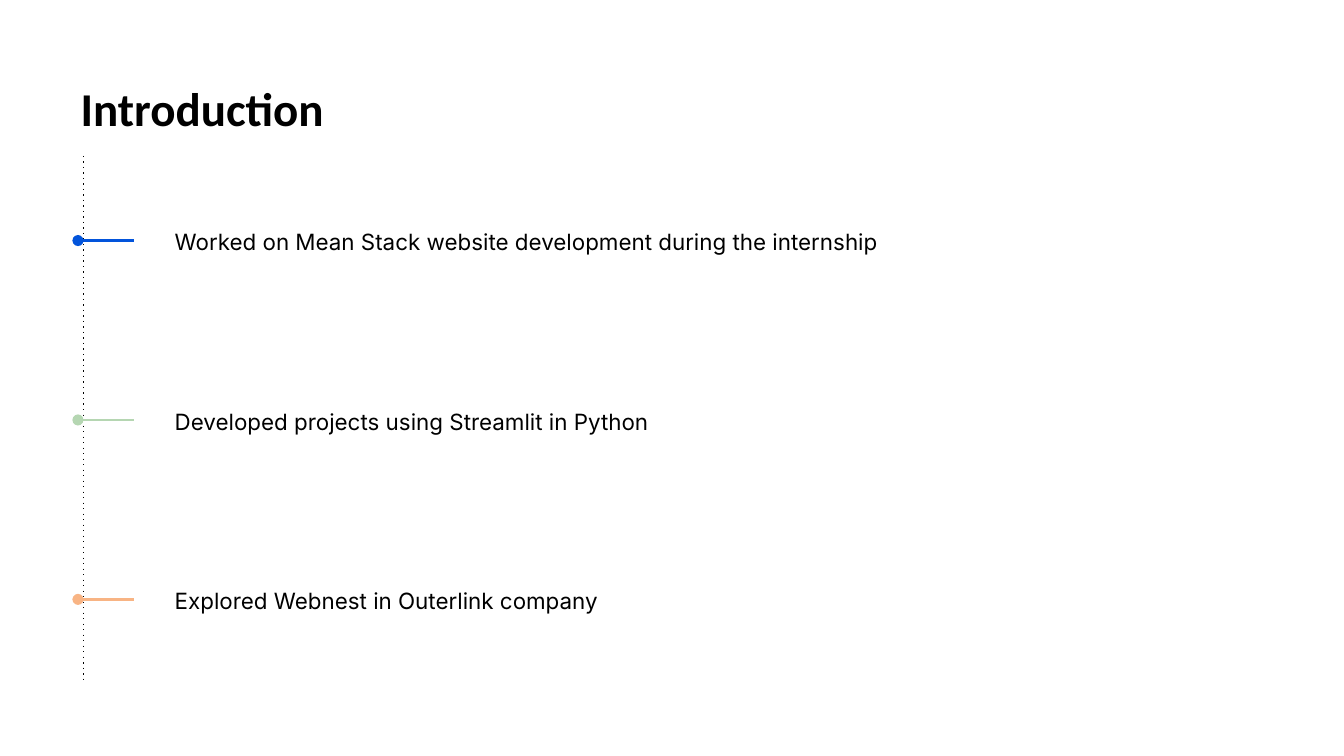
from lxml.etree import SubElement
from pptx import Presentation
from pptx.dml.color import RGBColor
from pptx.enum.shapes import MSO_CONNECTOR
from pptx.enum.text import MSO_ANCHOR, MSO_AUTO_SIZE, PP_ALIGN
from pptx.oxml.ns import qn
from pptx.util import Inches, Pt

COLORS = {"text": "000000", "blue": "0254DB", "green": "B5D6B2", "orange": "F8B484"}
ITEMS = [
    ("Worked on Mean Stack website development during the internship", "blue", 1.05),
    ("Developed projects using Streamlit in Python", "green", 1.15),
    ("Explored Webnest in Outerlink company", "orange", 1.05),
]
FIRST_TOP, LAST_TOP, HEIGHT = 1.25, 3.92, 1.08
STEP = (LAST_TOP - FIRST_TOP) / (len(ITEMS) - 1)


def set_text(sp, text, font, size, bold, left_inset):
    tf = sp.text_frame
    tf.word_wrap = True
    tf.auto_size = MSO_AUTO_SIZE.NONE
    tf.vertical_anchor = MSO_ANCHOR.MIDDLE
    tf.margin_left = Inches(left_inset)
    tf.margin_top = tf.margin_right = tf.margin_bottom = Inches(0.1)
    p = tf.paragraphs[0]
    p.alignment = PP_ALIGN.LEFT
    p.space_before = Pt(0)
    r = p.add_run()
    r.text = text
    r.font.name = font
    r.font.size = Pt(size)
    r.font.bold = bold
    r.font.color.rgb = RGBColor.from_string(COLORS["text"])
    return p


def add_line(s, x1, y1, x2, y2, color, width, tag, **attrs):
    line = s.shapes.add_connector(
        MSO_CONNECTOR.STRAIGHT, Inches(x1), Inches(y1), Inches(x2), Inches(y2)
    )
    line.line.color.rgb = RGBColor.from_string(COLORS[color])
    line.line.width = Pt(width)
    SubElement(line.line._get_or_add_ln(), qn(tag), **attrs)
    SubElement(line._element.spPr, qn("a:effectLst"))
    return line


prs = Presentation()
prs.slide_width = Inches(10)
prs.slide_height = prs.slide_width * 9 // 16
s = prs.slides.add_slide(prs.slide_layouts.get_by_name("Comparison"))

title = s.shapes.title
title.left, title.top = Inches(0.5), Inches(0.49)
title.width, title.height = Inches(9), Inches(0.63)
set_text(title, "Introduction", "Calibri", 25.2, True, 0.1)

add_line(s, 0.62, 1.16, 0.62, 5.08, "text", 0.75, "a:prstDash", val="dot")

for i, (text, color, spacing) in enumerate(ITEMS):
    top = FIRST_TOP + i * STEP
    body = s.placeholders[i + 1]
    body.left, body.top = Inches(1), Inches(top)
    body.width, body.height = Inches(7.5), Inches(HEIGHT)
    p = set_text(body, text, "Inter", 12, False, 0.3)
    p.line_spacing = spacing
    p.space_after = Pt(10)
    pPr = p._p.get_or_add_pPr()
    pPr.set("marL", "0")
    pPr.set("indent", "0")
    SubElement(pPr, qn("a:buNone"))

    y = top + HEIGHT / 2
    marker = add_line(s, 0.58, y, 1, y, color, 1.5, "a:headEnd", type="oval")
    marker.end_connect(body, 1)

for sp in list(s.placeholders):
    if not sp.text_frame.text:
        sp._element.getparent().remove(sp._element)

prs.save("out.pptx")
